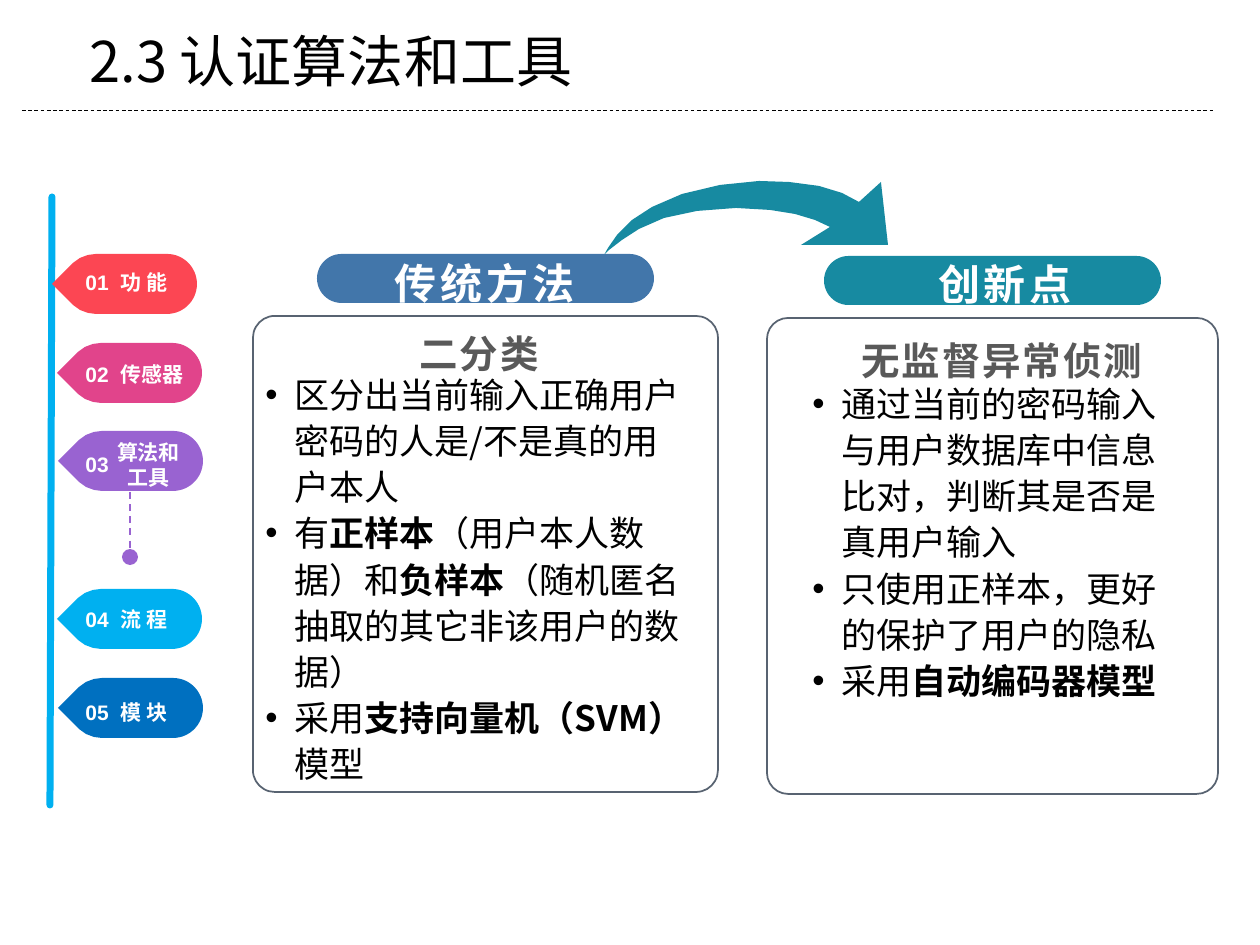
import dataclasses
import math

import lxml.etree
import pptx
import pptx.dml.color
import pptx.enum.dml
import pptx.enum.shapes
import pptx.enum.text
import pptx.oxml.ns
import pptx.util

EMU_PER_PX = 914400 / 126
SHAPES = pptx.enum.shapes.MSO_SHAPE
ALIGN = pptx.enum.text.PP_ALIGN
ANCHOR = pptx.enum.text.MSO_ANCHOR
qn = pptx.oxml.ns.qn


@dataclasses.dataclass(frozen=True)
class Theme:
    latin: str = "Arial"
    chinese: str = "Noto Sans CJK SC"
    title_size: int = 32
    pill_size: int = 24
    heading_size: int = 22
    body_size: int = 20
    label_size: int = 12
    black: str = "000000"
    white: str = "FFFFFF"
    grey: str = "595959"
    border: str = "586371"
    red: str = "FC4653"
    pink: str = "E1448B"
    purple: str = "9963D1"
    sky: str = "00B0F0"
    blue: str = "0070C0"
    steel: str = "4276AA"
    teal: str = "178AA1"


THEME = Theme()


@dataclasses.dataclass(frozen=True)
class Panel:
    box: tuple
    title: str
    color: str
    title_box: tuple
    heading: str
    heading_box: tuple
    body_box: tuple
    body_font: str
    bullets: tuple


def px(length):
    return round(length * EMU_PER_PX)


def rgb(color):
    return pptx.dml.color.RGBColor.from_string(color)


def place(box, part):
    return box[0] + part[0], box[1] + part[1], part[2], part[3]


def style_paragraph(paragraph, size, color, font=THEME.chinese, bold=None, spacing=0):
    paragraph.font.name = font
    paragraph.font.size = pptx.util.Pt(size)
    paragraph.font.bold = bold
    paragraph.font.color.rgb = rgb(color)
    properties = paragraph._p.get_or_add_pPr().get_or_add_defRPr()
    lxml.etree.SubElement(properties, qn("a:ea"), typeface=THEME.chinese)
    if spacing:
        properties.set("spc", str(spacing))


def add_text_frame(slide, box):
    frame = slide.shapes.add_textbox(*map(px, box)).text_frame
    frame.word_wrap = True
    return frame


def add_label(slide, box, text, align=ALIGN.LEFT):
    paragraph = add_text_frame(slide, box).paragraphs[0]
    paragraph.text = text
    paragraph.alignment = align
    style_paragraph(paragraph, THEME.label_size, THEME.white, THEME.latin, True)


def paint(shape, fill=None, line=None):
    shape.shadow.inherit = False
    if fill:
        shape.fill.solid()
        shape.fill.fore_color.rgb = rgb(fill)
    else:
        shape.fill.background()
    if line:
        shape.line.color.rgb = rgb(line)
        shape.line.width = pptx.util.Pt(1)
    else:
        shape.line.fill.background()


def add_shape(slide, kind, box, fill=None, line=None, corner=None):
    shape = slide.shapes.add_shape(kind, *map(px, box))
    if corner is not None:
        shape.adjustments[0] = corner
    paint(shape, fill, line)


def add_outline(slide, left, top, points, fill):
    corners = [(px(left + x), px(top + y)) for x, y in points]
    builder = slide.shapes.build_freeform(*corners[0])
    builder.add_line_segments(corners[1:], close=True)
    paint(builder.convert_to_shape(), fill)


def add_line(slide, start, end, color, width, dashed=False):
    kind = pptx.enum.shapes.MSO_CONNECTOR.STRAIGHT
    line = slide.shapes.add_connector(kind, *map(px, start + end))
    line.line.color.rgb = rgb(color)
    line.line.width = pptx.util.Pt(width)
    if dashed:
        line.line.dash_style = pptx.enum.dml.MSO_LINE.DASH
    else:
        line.line._get_or_add_ln().set("cap", "rnd")
    lxml.etree.SubElement(line._element.spPr, qn("a:effectLst"))


def add_title(slide, box, text):
    title = slide.shapes.title
    title.left, title.top, title.width, title.height = map(px, box)
    frame = title.text_frame
    frame.text = text
    frame.auto_size = pptx.enum.text.MSO_AUTO_SIZE.NONE
    frame.vertical_anchor = ANCHOR.TOP
    frame.paragraphs[0].alignment = ALIGN.LEFT
    style_paragraph(frame.paragraphs[0], THEME.title_size, THEME.black)
    add_line(slide, (22, 110), (1214, 110), THEME.black, 0.5, dashed=True)


def tag_outline():
    upper = [(0, 30), (21, 9), (28, 4), (36, 1), (44, 0)]
    angles = [math.radians(degrees) for degrees in range(-90, 91, 6)]
    cap = [(115 + 30 * math.cos(a), 30 + 30 * math.sin(a)) for a in angles]
    return upper + cap + [(x, 60 - y) for x, y in reversed(upper[1:])]


def add_navigation(slide, box):
    left, top, width, height = box
    add_line(slide, (left, top + height), (left + 2, top), THEME.sky, 4)
    add_line(slide, (left + 80, top + 295), (left + 80, top + 362), THEME.purple, 1, dashed=True)
    add_shape(slide, SHAPES.OVAL, (left + 72, top + 352, 16, 16), THEME.purple)
    tags = [
        (2, 57, 9, THEME.red, "01  功 能"),
        (7, 146, 12, THEME.pink, "02  传感器"),
        (8, 234, 14, THEME.purple, "03"),
        (7, 392, 11, THEME.sky, "04  流 程"),
        (8, 481, 15, THEME.blue, "05  模 块"),
    ]
    for x, y, drop, color, text in tags:
        add_outline(slide, left + x, top + y, tag_outline(), color)
        add_label(slide, (left + 23, top + y + drop, width, 54), text)
    add_label(slide, (left + 51, top + 236, 95, 38), "算法和工具", ALIGN.CENTER)


def add_arrow(slide, left, top):
    upper = [(0, 74), (4, 67), (13, 54), (28, 39), (48, 26), (78, 13),
             (116, 4), (155, 0), (185, 1), (215, 5), (238, 12), (255, 21)]
    head = [(277, 1), (284, 64), (197, 64), (226, 46)]
    lower = [(211, 39), (191, 33), (166, 29), (132, 27), (93, 30), (60, 37),
             (35, 48), (18, 59), (5, 69)]
    add_outline(slide, left, top, upper + head + lower, THEME.teal)


def add_centered(slide, box, text, size, color, spacing):
    frame = add_text_frame(slide, box)
    paragraph = frame.paragraphs[0]
    paragraph.text = text
    paragraph.alignment = ALIGN.CENTER
    paragraph.line_spacing = 1.2
    style_paragraph(paragraph, size, color, bold=True, spacing=spacing)
    return frame


def add_bullets(slide, box, bullets, font):
    frame = add_text_frame(slide, box)
    for index, parts in enumerate(bullets):
        paragraph = frame.add_paragraph() if index else frame.paragraphs[0]
        properties = paragraph._p.get_or_add_pPr()
        properties.set("marL", str(px(29)))
        properties.set("indent", str(-px(29)))
        lxml.etree.SubElement(properties, qn("a:buFont"), typeface=THEME.latin)
        lxml.etree.SubElement(properties, qn("a:buChar"), char="•")
        paragraph.line_spacing = 1.1
        style_paragraph(paragraph, THEME.body_size, THEME.black, font)
        for position, text in enumerate(parts):
            run = paragraph.add_run()
            run.text = text
            if position % 2:
                run.font.bold = True


def add_panel(slide, panel):
    box = panel.box
    add_shape(slide, SHAPES.ROUNDED_RECTANGLE, box, line=THEME.border, corner=0.047)
    pill = place(box, ((box[2] - 337) // 2, -62, 337, 49))
    add_shape(slide, SHAPES.ROUNDED_RECTANGLE, pill, panel.color, corner=0.5)
    title = add_centered(slide, place(box, panel.title_box), panel.title,
                         THEME.pill_size, THEME.white, 220)
    title.vertical_anchor = ANCHOR.MIDDLE
    heading = add_centered(slide, place(box, panel.heading_box), panel.heading,
                           THEME.heading_size, THEME.grey, 110)
    heading.margin_left = heading.margin_right = px(9)
    heading.margin_top, heading.margin_bottom = 0, px(5)
    add_bullets(slide, place(box, panel.body_box), panel.bullets, panel.body_font)


PANELS = [
    Panel((253, 316, 465, 476), "传统方法", THEME.steel, (87, -59, 289, 42),
          "二分类", (52, 5, 348, 54), (0, 47, 444, 381), THEME.chinese,
          (("区分出当前输入正确用户密码的人是/不是真的用户本人",),
           ("有", "正样本", "（用户本人数据）和", "负样本", "（随机匿名抽取的其它非该用户的数据）"),
           ("采用", "支持向量机（SVM）", "模型"))),
    Panel((767, 318, 451, 476), "创新点", THEME.teal, (82, -57, 312, 35),
          "无监督异常侦测", (61, 10, 348, 59), (33, 54, 399, 334), THEME.latin,
          (("通过当前的密码输入与用户数据库中信息比对，判断其是否是真用户输入",),
           ("只使用正样本，更好的保护了用户的隐私",),
           ("采用", "自动编码器模型"))),
]


def main():
    presentation = pptx.Presentation()
    presentation.slide_width, presentation.slide_height = px(1260), px(945)
    slide = presentation.slides.add_slide(presentation.slide_layouts[5])
    add_title(slide, (77, 20, 577, 81), "2.3 认证算法和工具")
    add_navigation(slide, (50, 197, 145, 608))
    add_arrow(slide, 604, 181)
    for panel in PANELS:
        add_panel(slide, panel)
    presentation.save("out.pptx")


if __name__ == "__main__":
    main()
